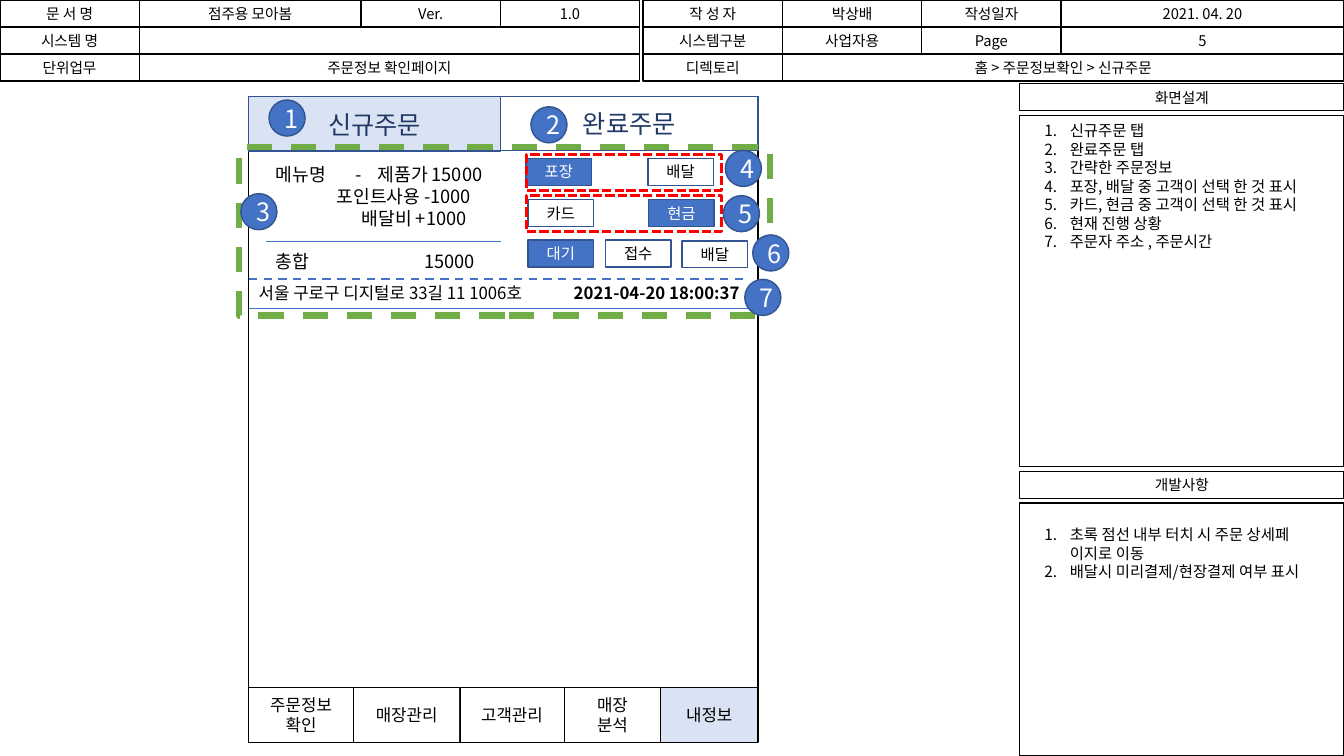
from itertools import accumulate

from lxml.etree import SubElement
from pptx import Presentation
from pptx.dml.color import RGBColor
from pptx.enum.dml import MSO_LINE
from pptx.enum.shapes import MSO_CONNECTOR, MSO_SHAPE
from pptx.enum.text import MSO_ANCHOR, PP_ALIGN
from pptx.oxml.ns import qn
from pptx.util import Cm, Pt

FONT = "Noto Sans CJK KR"
BLACK, WHITE, RED, GREEN = "000000", "FFFFFF", "FF0000", "70AD47"
BLUE, EDGE, PALE, NAVY = "4472C4", "325491", "DAE3F3", "203864"
ROW = 0.68


def paint(color_format, color):
    color_format.rgb = RGBColor.from_string(color)


def format_span(span, size, color):
    span.font.size = Pt(size)
    span.font.name = FONT
    paint(span.font.color, color)
    SubElement(span.font._element, qn("a:ea"), typeface=FONT)


def format_para(para, size, color, align=PP_ALIGN.LEFT):
    para.alignment = align
    para.line_spacing = Pt(size * 1.2)
    for span in para.runs:
        format_span(span, size, color)


def add_box(page, left, top, width, height, text="", size=10.5, color=BLACK,
            fill=None, line=BLACK, weight=1, dash=None, kind=MSO_SHAPE.RECTANGLE):
    box = page.shapes.add_shape(kind, Cm(left), Cm(top), Cm(width), Cm(height))
    box.shadow.inherit = False
    if fill:
        box.fill.solid()
        paint(box.fill.fore_color, fill)
    else:
        box.fill.background()
    paint(box.line.color, line)
    box.line.width = Pt(weight)
    if dash:
        box.line.dash_style = dash
    box.text_frame.vertical_anchor = MSO_ANCHOR.MIDDLE
    if text:
        box.text_frame.text = text
        for para in box.text_frame.paragraphs:
            format_para(para, size, color, PP_ALIGN.CENTER)


def add_rule(page, left, right, y, weight, dash=None):
    rule = page.shapes.add_connector(
        MSO_CONNECTOR.STRAIGHT, Cm(left), Cm(y), Cm(right), Cm(y))
    paint(rule.line.color, BLUE)
    rule.line.width = Pt(weight)
    if dash:
        rule.line.dash_style = dash
    SubElement(rule._element.spPr, qn("a:effectLst"))


def add_text(page, left, top, width, height, text, size):
    box = page.shapes.add_textbox(Cm(left), Cm(top), Cm(width), Cm(height))
    box.text_frame.word_wrap = True
    box.text_frame.text = text
    for para in box.text_frame.paragraphs:
        format_para(para, size, BLACK)
    return box.text_frame.paragraphs


def set_tabs(para, *stops):
    tabs = SubElement(para._p.get_or_add_pPr(), qn("a:tabLst"))
    for stop in stops:
        SubElement(tabs, qn("a:tab"), pos=str(Cm(stop)), algn="l")


def set_numbering(para):
    props = para._p.get_or_add_pPr()
    props.set("marL", str(Cm(0.64)))
    props.set("indent", str(-Cm(0.64)))
    SubElement(props, qn("a:buAutoNum"), type="arabicPeriod")


def draw_header_half(page, left, top, widths, rows):
    edges = list(accumulate(widths, initial=left))
    for index, cells in enumerate(rows):
        last = len(cells) - 1
        for column, text in enumerate(cells):
            end = edges[-1] if column == last else edges[column + 1]
            add_box(page, edges[column], top + index * ROW,
                    end - edges[column], ROW, text)


def draw_panel(page, left, top, width, height, title, text_offset, items):
    body = top + 0.8
    add_box(page, left, top, width, ROW, title)
    add_box(page, left, body, width, height - 0.8)
    for para in add_text(page, left + 0.37, body + text_offset, width - 0.6,
                         0.47 * len(items), "\n".join(items), 11):
        set_numbering(para)


def draw_order(page, left, top, width):
    lines = ["메뉴명\t-\t제품가 15000", "\t포인트사용 -1000",
             "\t배달비 +1000", "총합\t15000"]
    stops = [(2.02, 2.57), (1.54,), (2.17,), (3.75,)]
    paras = add_text(page, left + 0.43, top + 1.55, 9.88, 3.02, "\n".join(lines), 13)
    paras[-1].space_before = Pt(15.6)
    for para, places in zip(paras, stops):
        set_tabs(para, *places)

    buttons = [(6.99, 1.55, "포장", True), (10.06, 1.55, "배달", False),
               (7.04, 2.59, "카드", False), (10.08, 2.59, "현금", True),
               (7.04, 3.61, "대기", True), (8.99, 3.61, "접수", False),
               (10.92, 3.63, "배달", False)]
    for x, y, text, chosen in buttons:
        add_box(page, left + x, top + y, 1.65, ROW, text, 11,
                WHITE if chosen else BLACK, BLUE if chosen else WHITE, EDGE)
    for y in (1.45, 2.49):
        add_box(page, left + 6.99, top + y, 4.93, 0.91,
                line=RED, weight=2.25, dash=MSO_LINE.SQUARE_DOT)

    address = add_text(page, left, top + 4.57, 18.24, 0.76,
                       "서울 구로구 디지털로 33길 11 1006호\t", 12)[0]
    set_tabs(address, 7.94)
    time = address.add_run()
    time.text = "2021-04-20 18:00:37"
    time.font.bold = True
    format_span(time, 12, BLACK)

    add_rule(page, left, left + width, top + 5.33, 0.5)
    add_rule(page, left + 0.43, left + 6.35, top + 3.63, 0.5)
    add_rule(page, left, left + 12.6, top + 4.58, 1.5, MSO_LINE.DASH)
    add_box(page, left - 0.25, top + 1.27, 13.39, 4.24,
            line=GREEN, weight=4.5, dash=MSO_LINE.DASH)


def draw_navigation(page, left, top, height):
    names = ["주문정보\n확인", "매장관리", "고객관리", "매장\n분석", "내정보"]
    widths = [2.64, 2.68, 2.63, 2.43, 2.45]
    for x, width, name in zip(accumulate(widths, initial=left), widths, names):
        add_box(page, x, top, width, height, name, 12, weight=0.5,
                fill=PALE if name == names[-1] else WHITE)


def draw_badges(page, left, top):
    places = [(0.51, 0.08), (7.11, 0.25), (-0.2, 2.44), (12.01, 1.35),
              (11.96, 2.49), (12.7, 3.48), (12.5, 4.6)]
    for number, (x, y) in enumerate(places, 1):
        add_box(page, left + x, top + y, 0.91, 0.91, str(number), 18,
                WHITE, BLUE, EDGE, kind=MSO_SHAPE.OVAL)


def draw_screen(page, left, top, width, height):
    add_box(page, left, top, width, height, fill=WHITE)
    add_box(page, left, top, 6.35, 1.37, "신규주문", 18, NAVY, PALE, EDGE)
    add_box(page, left + 6.35, top, width - 6.35, 1.35, "완료주문", 18, NAVY, WHITE, EDGE)
    draw_order(page, left, top, width)
    draw_badges(page, left, top)
    draw_navigation(page, left, top + height - 1.38, 1.38)


deck = Presentation()
deck.slide_width, deck.slide_height = Cm(33.87), Cm(19.05)
page = deck.slides.add_slide(deck.slide_layouts[6])
draw_header_half(page, 0, 0, [3.51, 5.59, 3.51, 3.51], [
    ["문 서 명", "점주용 모아봄", "Ver.", "1.0"],
    ["시스템 명", ""],
    ["단위업무", "주문정보 확인페이지"]])
draw_header_half(page, 16.21, 0, [3.51, 3.51, 3.51, 7.13], [
    ["작 성 자", "박상배", "작성일자", "2021. 04. 20"],
    ["시스템구분", "사업자용", "Page", "5"],
    ["디렉토리", "홈 > 주문정보확인 > 신규주문"]])
draw_panel(page, 25.7, 2.11, 8.17, 9.65, "화면설계", 0.03, [
    "신규주문 탭", "완료주문 탭", "간략한 주문정보",
    "포장, 배달 중 고객이 선택 한 것 표시", "카드, 현금 중 고객이 선택 한 것 표시",
    "현재 진행 상황", "주문자 주소 , 주문시간"])
draw_panel(page, 25.7, 11.88, 8.17, 7.17, "개발사항", 0.43, [
    "초록 점선 내부 터치 시 주문 상세페\v이지로 이동",
    "배달시 미리결제/현장결제 여부 표시"])
draw_screen(page, 6.27, 2.44, 12.83, 16.26)
deck.save("out.pptx")
